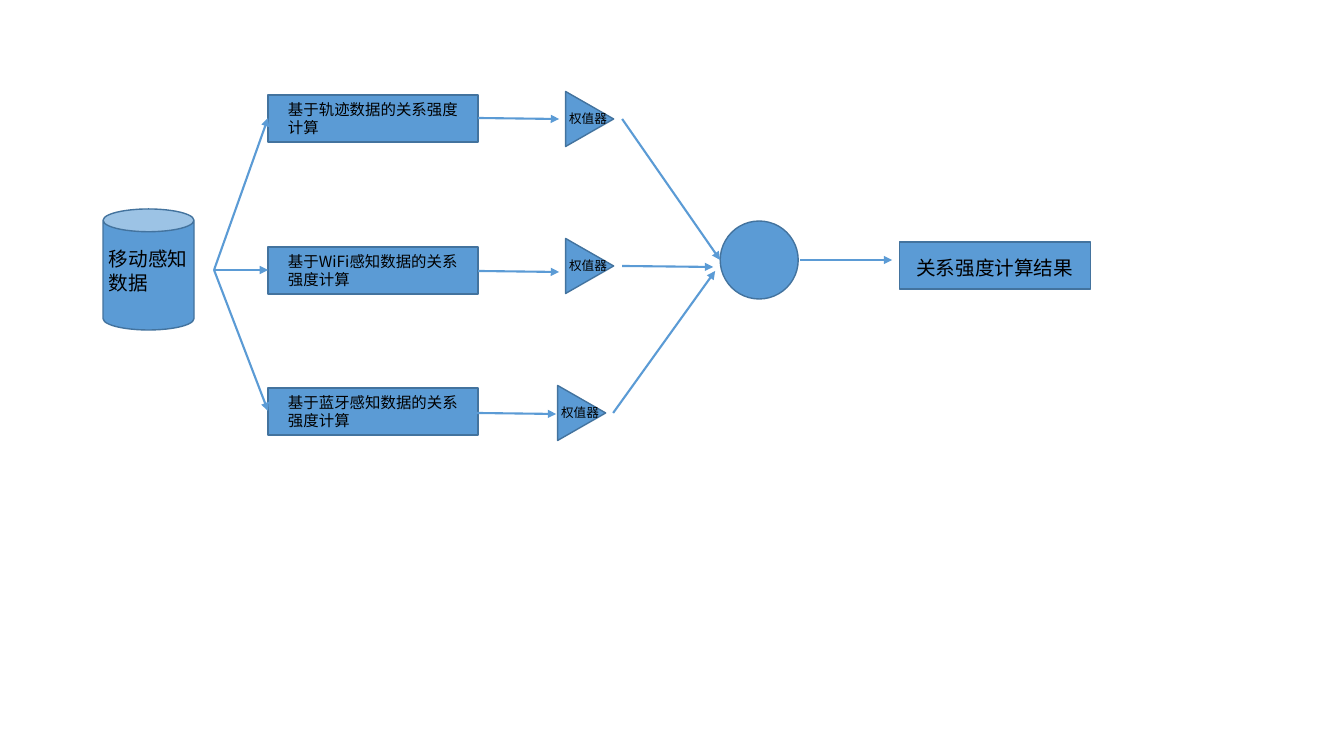
from lxml import etree
from pptx import Presentation
from pptx import util as u
from pptx.dml.color import RGBColor
from pptx.enum import shapes, text
from pptx.oxml.ns import qn

# Content: (label, row top, weight triangle left, weight triangle top)
SOURCE = "移动感知数据"
BRANCHES = [
    ("基于轨迹数据的关系强度计算", 95, 562, 95),
    ("基于WiFi感知数据的关系强度计算", 247, 562, 242),
    ("基于蓝牙感知数据的关系强度计算", 388, 554, 389),
]
WEIGHT = "权值器"
RESULT = "关系强度计算结果"

# Arrow ends: x1, y1, x2, y2
BRANCH_ARROWS = [(478, 118, 559, 119), (478, 271, 559, 272), (476, 413, 556, 414)]
SUM_ARROWS = [(622, 119, 720, 260), (622, 266, 713, 267), (613, 413, 715, 271)]
RESULT_ARROW = (800, 260, 892, 260)
FAN_START = (214, 270)

FONT = "Noto Sans CJK SC"
COLORS = {"fill": "5B9BD5", "edge": "43739E", "text": "000000"}
PX = 914400 / 100.8
BOX_X, BOX_W, BOX_H = 268, 210, 47
TRI_W, TRI_H = 55, 48


def emu(*lengths):
    return [u.Emu(round(n * PX)) for n in lengths]


def rgb(name):
    return RGBColor.from_string(COLORS[name])


prs = Presentation()
prs.slide_width, prs.slide_height = u.Inches(13.33), u.Inches(7.5)
s = prs.slides.add_slide(prs.slide_layouts[6])


def add_block(kind, box, rotation=0):
    sp = s.shapes.add_shape(kind, *emu(*box))
    sp.rotation = rotation
    sp.shadow.inherit = False
    sp.fill.solid()
    sp.fill.fore_color.rgb = rgb("fill")
    sp.line.color.rgb = rgb("edge")
    sp.line.width = u.Pt(1)


def add_label(label, box, size, align=text.PP_ALIGN.LEFT):
    tf = s.shapes.add_textbox(*emu(*box)).text_frame
    tf.word_wrap = True
    p = tf.paragraphs[0]
    p.alignment = align
    r = p.add_run()
    r.text = label
    r.font.color.rgb = rgb("text")
    for key, value in {"size": u.Pt(size), "name": FONT}.items():
        setattr(r.font, key, value)
    etree.SubElement(r.font._element, qn("a:ea"), typeface=FONT)


def add_arrow(x1, y1, x2, y2):
    c = s.shapes.add_connector(shapes.MSO_CONNECTOR.STRAIGHT, *emu(x1, y1, x2, y2))
    c.line.color.rgb = rgb("fill")
    c.line.width = u.Pt(1.5)
    etree.SubElement(c.line._get_or_add_ln(), qn("a:tailEnd"), type="triangle")
    etree.SubElement(c._element.spPr, qn("a:effectLst"))


KIND = shapes.MSO_SHAPE

# Data source
add_block(KIND.CAN, (103, 209, 91, 121))
add_label(SOURCE, (99, 242, 115, 57), 14)

# Three branches, each with its weight triangle
for label, top, tri_x, tri_y in BRANCHES:
    add_block(KIND.RECTANGLE, (BOX_X, top, BOX_W, BOX_H))
    add_label(label, (BOX_X + 10, top, 191, BOX_H), 11)
    add_block(KIND.ISOSCELES_TRIANGLE, (tri_x, tri_y, TRI_W, TRI_H), 90)
    add_label(WEIGHT, (tri_x - 3, tri_y + 11, 61, 25), 9)
    add_arrow(*FAN_START, BOX_X, top + BOX_H // 2)

# Combination and result
add_block(KIND.OVAL, (720, 221, 78, 78))
add_block(KIND.RECTANGLE, (899, 242, 191, BOX_H))
add_label(RESULT, (899, 251, 191, 34), 14, text.PP_ALIGN.CENTER)

# Remaining arrows
for ends in BRANCH_ARROWS + SUM_ARROWS + [RESULT_ARROW]:
    add_arrow(*ends)

prs.save("out.pptx")
